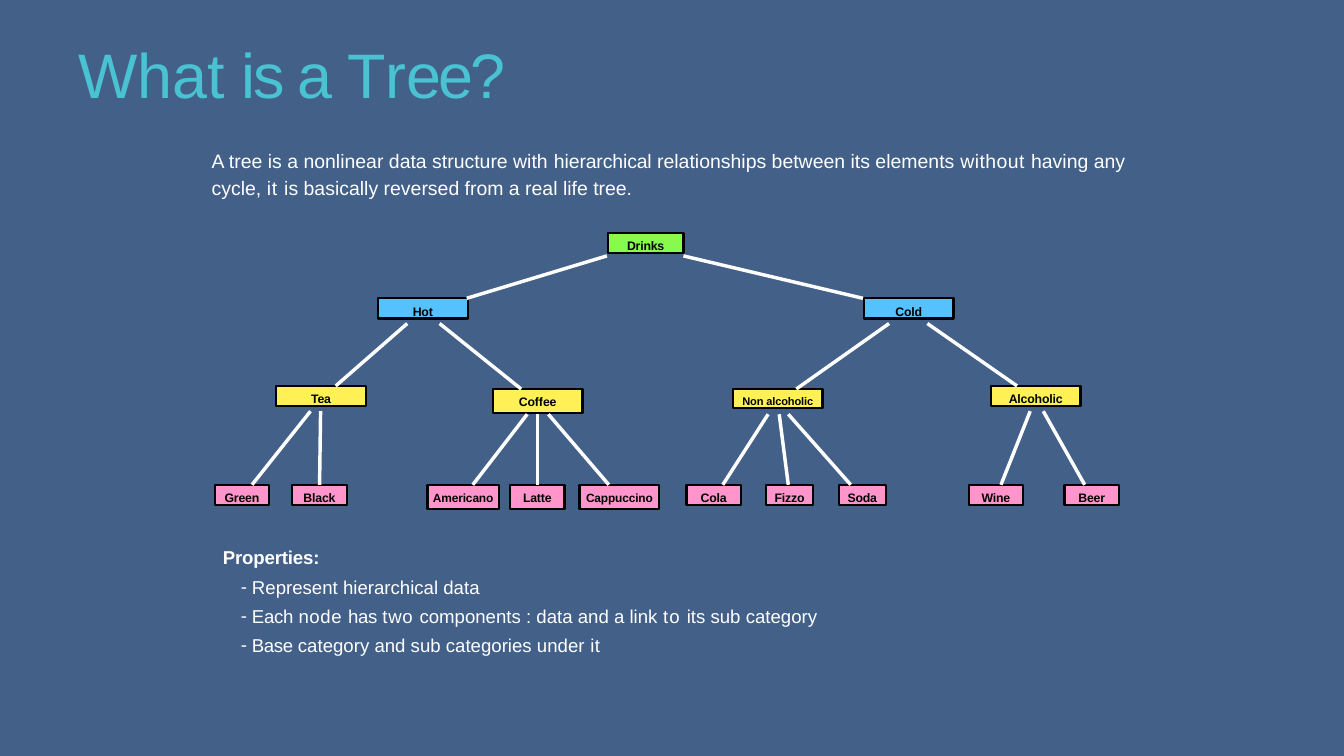
from dataclasses import dataclass

import pptx
import pptx.util
import pptx.dml.color
import pptx.enum.shapes
import pptx.enum.text
import pptx.oxml

Pt = pptx.util.Pt
Align = pptx.enum.text.PP_ALIGN


@dataclass(frozen=True)
class Theme:
    font: str = "Arial"
    background: str = "436089"
    title: str = "49C3D2"
    text: str = "FFFFFF"
    label: str = "000000"
    levels: tuple = ("88FA4E", "56C1FF", "FFF056", "FF95CA")
    title_size: float = 44.9
    intro_size: float = 13.9
    list_size: float = 13.3
    node_size: float = 8.8
    border: float = 1.65
    link: float = 2.47


@dataclass(frozen=True)
class Node:
    label: str
    left: float
    top: float
    width: float
    height: float = 14.4
    link_start: float = 0
    link_end: float = 0
    children: tuple = ()
    size: float = 8.8
    link_drop: float = 18


THEME = Theme()


def leaf(label, left, width, link_start, link_end, height=14.4, size=8.8):
    return Node(label, left, 180, width, height, link_start, link_end, size=size)


TEA = Node("Tea", 43.9, 109.4, 64.1, 14.4, 137.5, 86.4, (
    leaf("Green", 0, 38.9, 68.4, 26.6),
    leaf("Black", 55.4, 38.9, 75.6, 74.9),
))
COFFEE = Node("Coﬀee", 198.7, 111.6, 64.1, 17.3, 160.6, 218.9, (
    leaf("Americano", 151.9, 51.1, 223.2, 184.3, 17.3, 8.5),
    leaf("Latte", 211, 38.9, 230.4, 230.4, 17.3),
    leaf("Cappuccino", 260.6, 56.9, 238.3, 281.5, 17.3, 8.5),
))
NON_ALCOHOLIC = Node("Non alcoholic", 370.1, 111.6, 64.1, 13.7, 481.7, 415.4, (
    leaf("Cola", 337, 38.9, 395.3, 362.9),
    leaf("Fizzo", 393.8, 33.8, 403.2, 409.7),
    leaf("Soda", 445.7, 33.8, 409.7, 454.3),
), 7.9)
ALCOHOLIC = Node("Alcoholic", 554.4, 109.4, 64.1, 14.4, 509, 573.1, (
    leaf("Wine", 538.6, 38.9, 582.5, 561.6),
    leaf("Beer", 607, 38.9, 591.8, 621.4),
))
DRINKS = Node("Drinks", 280.8, 0, 54, children=(
    Node("Hot", 116.6, 46.8, 64.1, 14.4, 280.1, 180, (TEA, COFFEE)),
    Node("Cold", 463.7, 46.8, 64.1, 14.4, 334.8, 463, (NON_ALCOHOLIC, ALCOHOLIC)),
), link_drop=16.5)


def color(value):
    return pptx.dml.color.RGBColor.from_string(value)


def add_run(paragraph, text, size, value, bold=False, spacing=0):
    run = paragraph.add_run()
    run.text = text
    run.font.name = THEME.font
    run.font.size = Pt(size)
    run.font.bold = bold
    run.font.color.rgb = color(value)
    if spacing:
        run._r.get_or_add_rPr().set("spc", str(round(spacing * 100)))


def prepare_frame(shape, left=0, top=0):
    frame = shape.text_frame
    frame.word_wrap = True
    frame.auto_size = pptx.enum.text.MSO_AUTO_SIZE.NONE
    frame.vertical_anchor = pptx.enum.text.MSO_ANCHOR.TOP
    frame.margin_left, frame.margin_top = Pt(left), Pt(top)
    frame.margin_right = frame.margin_bottom = 0
    return frame


def place(shape, box):
    shape.left, shape.top, shape.width, shape.height = map(Pt, box)


def fill_title(slide, box):
    shape = slide.shapes.title
    place(shape, box)
    paragraph = prepare_frame(shape, 40.3, 5).paragraphs[0]
    paragraph.alignment = Align.LEFT
    for text, spacing in (("What ", -0.1), ("is a ", -1.8), ("T", -6.4), ("r", -2.8), ("ee?", -2)):
        add_run(paragraph, text, THEME.title_size, THEME.title, spacing=spacing)


def add_intro(slide, box):
    shape = slide.shapes.add_textbox(*map(Pt, box))
    paragraph = prepare_frame(shape, 0.7, 0.7).paragraphs[0]
    paragraph.line_spacing = 1.14
    for text, spacing in (
        ("A tree is a nonlinear data structure with ", 0),
        ("hierarchical ", -0.1),
        ("relationships between its elements ", 0),
        ("without ", 0.3),
        ("having any cycle, ", 0),
        ("it ", 0.5),
        ("is basically reversed from a real life tree.", 0),
    ):
        add_run(paragraph, text, THEME.intro_size, THEME.text, spacing=spacing)


def add_node(slide, node, level, left, top):
    shape = slide.shapes.add_shape(
        pptx.enum.shapes.MSO_SHAPE.RECTANGLE,
        Pt(left + node.left), Pt(top + node.top), Pt(node.width), Pt(node.height))
    shape.shadow.inherit = False
    shape.fill.solid()
    shape.fill.fore_color.rgb = color(THEME.levels[level])
    shape.line.color.rgb = color(THEME.label)
    shape.line.width = Pt(THEME.border)
    paragraph = prepare_frame(shape, 0, 4).paragraphs[0]
    paragraph.alignment = Align.CENTER
    add_run(paragraph, node.label, node.size, THEME.label, True, -0.1)
    for child in node.children:
        add_node(slide, child, level + 1, left, top)


def add_links(slide, node, left, top):
    for child in node.children:
        link = slide.shapes.add_connector(
            pptx.enum.shapes.MSO_CONNECTOR.STRAIGHT,
            Pt(left + child.link_start), Pt(top + node.top + node.link_drop),
            Pt(left + child.link_end), Pt(top + child.top))
        link.line.color.rgb = color(THEME.text)
        link.line.width = Pt(THEME.link)
        link._element.spPr.append(pptx.oxml.parse_xml(
            '<a:effectLst xmlns:a="http://schemas.openxmlformats.org/drawingml/2006/main"/>'))
        add_links(slide, child, left, top)


def add_tree(slide, box):
    left, top = box[:2]
    add_node(slide, DRINKS, 0, left, top)
    add_links(slide, DRINKS, left, top)


def set_bullet(paragraph, margin, indent, bullet):
    properties = paragraph._p.get_or_add_pPr()
    properties.set("marL", str(Pt(margin)))
    properties.set("indent", str(Pt(indent)))
    properties.append(pptx.oxml.parse_xml(
        f'<a:{bullet} xmlns:a="http://schemas.openxmlformats.org/drawingml/2006/main"/>'))


def fill_properties(slide, box):
    shape = slide.placeholders[1]
    place(shape, box)
    frame = prepare_frame(shape, 0, 5)
    heading = frame.paragraphs[0]
    heading.space_before = Pt(0)
    set_bullet(heading, 0.7, 0, "buNone")
    add_run(heading, "Properties:", THEME.list_size, THEME.text, True, -0.1)
    for runs in (
        (("Represent hierarchical data", 0),),
        (("Each ", -0.2), ("node ", 0.4), ("has ", -0.2), ("two ", 0.5),
         ("components : data and a link ", 0), ("to ", 0.7), ("its sub category", 0)),
        (("Base ", -0.3), ("category and sub categories under ", 0), ("it", 0.3)),
    ):
        paragraph = frame.add_paragraph()
        paragraph.space_before = Pt(5)
        set_bullet(paragraph, 21.6, -7.9, 'buChar char="-"')
        for text, spacing in runs:
            add_run(paragraph, text, THEME.list_size, THEME.text, spacing=spacing)


def main():
    presentation = pptx.Presentation()
    presentation.slide_width, presentation.slide_height = Pt(960), Pt(540)
    slide = presentation.slides.add_slide(presentation.slide_layouts[1])
    slide.background.fill.solid()
    slide.background.fill.fore_color.rgb = color(THEME.background)
    fill_title(slide, (15.8, 20.2, 551.5, 55.4))
    add_intro(slide, (150.5, 103.7, 661, 38.9))
    add_tree(slide, (153.4, 166.3, 645.9, 197.3))
    fill_properties(slide, (158.4, 385.2, 429.8, 82.1))
    presentation.save("out.pptx")


if __name__ == "__main__":
    main()
